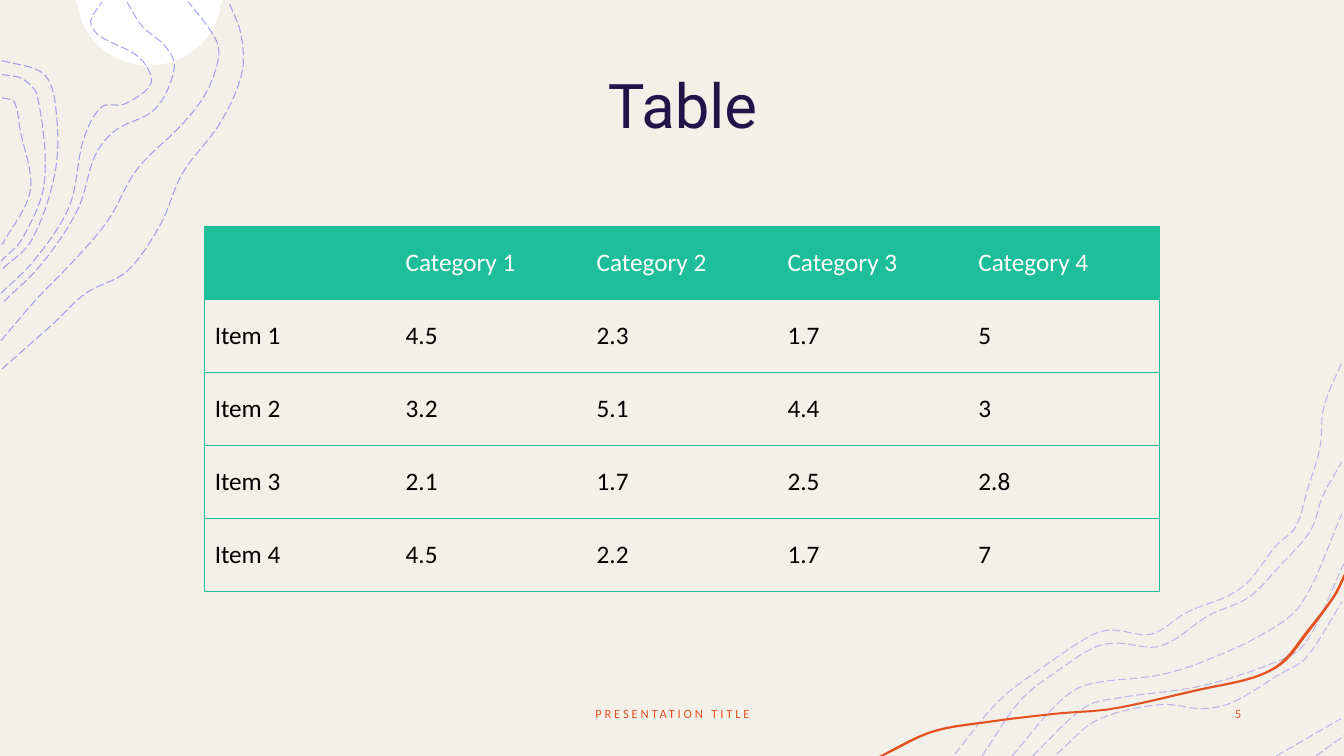
from collections import namedtuple
from math import asin, cos, dist, pi, sin

from lxml.etree import SubElement
from pptx import Presentation
from pptx.dml.color import RGBColor
from pptx.enum.dml import MSO_LINE
from pptx.enum.text import MSO_ANCHOR, PP_ALIGN
from pptx.oxml.ns import qn
from pptx.util import Inches, Pt

Box = namedtuple("Box", "left top width height")

COLORS = {"paper": "F3F0E9", "white": "FFFFFF", "contour": "4D4EE6", "ribbon": "E45221",
          "title": "201449", "teal": "1EBE9B", "body": "000000"}
NO_STYLE = "{2D5ABB26-0587-4C30-8999-92F81FD0307C}"

# Knots of each contour line, in inches from the corner of its region
LEFT_CONTOURS = [
    [(0.02, 3.66), (0.55, 3.19), (0.85, 2.91), (1.26, 2.69), (1.59, 2.23), (1.81, 1.72),
     (2.19, 1.21), (2.4, 0.72), (2.39, 0.34), (2.27, 0.02)],
    [(0.01, 3.38), (0.37, 2.96), (0.72, 2.6), (1.07, 2.19), (1.36, 1.68), (1.82, 1.22),
     (2.05, 0.91), (2.17, 0.56), (2.13, 0.37), (1.87, 0.02)],
    [(1.26, 0.02), (1.41, 0.26), (1.64, 0.46), (1.73, 0.67), (1.54, 1.08), (1.15, 1.29),
     (0.95, 1.53), (0.77, 2.08), (0.42, 2.61), (0.02, 3.01)],
    [(0.01, 2.91), (0.35, 2.57), (0.69, 2.04), (0.83, 1.38), (1.01, 1.06), (1.24, 1.03),
     (1.5, 0.82), (1.38, 0.57), (0.98, 0.35), (0.9, 0.21), (1.01, 0.02)],
    [(0.02, 0.6), (0.43, 0.73), (0.55, 1.04), (0.55, 1.69), (0.31, 2.39), (0.01, 2.68)],
    [(0.02, 0.74), (0.22, 0.78), (0.37, 0.95), (0.44, 1.81), (0.22, 2.37), (0.01, 2.59)],
    [(0.02, 0.97), (0.14, 1.01), (0.2, 1.29), (0.3, 1.89), (0.02, 2.43)],
]
RIGHT_CONTOURS = [
    [(1.47, 4.48), (1.91, 3.95), (2.37, 3.6), (2.83, 3.3), (3.03, 3.25), (3.42, 3.29),
     (3.78, 3.07), (4.18, 2.91), (4.39, 2.76), (4.66, 2.41), (4.85, 2.23), (4.97, 1.85),
     (5.09, 1.45), (5.13, 1.04), (5.31, 0.59)],
    [(1.74, 4.5), (2.13, 3.94), (2.54, 3.62), (2.86, 3.42), (3.08, 3.38), (3.51, 3.41),
     (4, 3.1), (4.38, 2.93), (4.68, 2.63), (5, 2.26), (5.12, 1.92), (5.31, 1.58)],
    [(5.05, 4.5), (5.33, 4.3)],
    [(4.66, 4.5), (5.3, 4.13)],
    [(2.48, 4.48), (2.89, 4.14), (3.51, 3.99), (3.93, 4.03), (4.22, 3.97), (4.69, 3.69),
     (4.95, 3.53), (5.31, 2.97)],
    [(2.24, 4.5), (2.77, 4.01), (3.12, 3.92), (3.89, 3.81), (4.57, 3.6), (4.93, 3.4), (5.33, 2.59)],
    [(2.04, 4.5), (2.47, 4), (2.76, 3.8), (3.48, 3.7), (3.89, 3.58), (4.49, 3.31), (4.9, 3),
     (5.31, 2.1)],
]
RIBBON = [(5.33, 2.75), (5.25, 2.91), (4.97, 3.29), (4.73, 3.58), (4.44, 3.73), (3.91, 3.85),
          (3.04, 4.04), (2.48, 4.09), (1.82, 4.17), (1.25, 4.27), (0.76, 4.5),
          (0.72, 4.5), (1.24, 4.25), (1.81, 4.15), (2.48, 4.07), (3.04, 4.02), (3.9, 3.83),
          (4.43, 3.71), (4.7, 3.57), (4.94, 3.28), (5.22, 2.91), (5.33, 2.69)]

ROWS = [["", "Category 1", "Category 2", "Category 3", "Category 4"],
        ["Item 1", "4.5", "2.3", "1.7", "5"],
        ["Item 2", "3.2", "5.1", "4.4", "3"],
        ["Item 3", "2.1", "1.7", "2.5", "2.8"],
        ["Item 4", "4.5", "2.2", "1.7", "7"]]


def color(name):
    return RGBColor.from_string(COLORS[name])


def bend(shape):
    """Turn the straight segments of a freeform into curves through the same knots."""
    outline = shape._element.find(".//" + qn("a:path"))
    knots = [(int(p.get("x")), int(p.get("y"))) for p in outline.iter(qn("a:pt"))]
    lengths = [dist(a, b) for a, b in zip(knots, knots[1:])]
    slopes = []
    for i in range(len(knots)):
        before, after = max(i - 1, 0), min(i + 1, len(knots) - 1)
        span = sum(lengths[before:after])
        slopes.append([(b - a) / span for a, b in zip(knots[before], knots[after])])
    for i, segment in enumerate(outline.findall(qn("a:lnTo"))):
        third = lengths[i] / 3
        leave = [k + s * third for k, s in zip(knots[i], slopes[i])]
        arrive = [k - s * third for k, s in zip(knots[i + 1], slopes[i + 1])]
        curve = SubElement(outline, qn("a:cubicBezTo"))
        for x, y in (leave, arrive, knots[i + 1]):
            SubElement(curve, qn("a:pt"), x=str(round(x)), y=str(round(y)))
        outline.replace(segment, curve)


def add_curve(slide, box, knots, close):
    places = [(Inches(box.left + x), Inches(box.top + y)) for x, y in knots]
    builder = slide.shapes.build_freeform(*places[0])
    builder.add_line_segments(places[1:], close=close)
    shape = builder.convert_to_shape()
    shape.shadow.inherit = False
    bend(shape)
    return shape


def add_filled(slide, box, knots, fill):
    shape = add_curve(slide, box, knots, True)
    shape.fill.solid()
    shape.fill.fore_color.rgb = color(fill)
    shape.line.fill.background()


def add_contours(slide, box, contours, opacity):
    for knots in contours:
        shape = add_curve(slide, box, knots, False)
        shape.fill.background()
        shape.line.color.rgb = color("contour")
        shape.line.width = Pt(0.75)
        shape.line.dash_style = MSO_LINE.LONG_DASH
        tint = shape.line._ln.find(".//" + qn("a:srgbClr"))
        SubElement(tint, qn("a:alpha"), val=str(opacity * 1000))


def draw_left_corner(slide, box):
    radius, center_x, center_y = 0.73, 1.48, -0.08
    start = asin(-center_y / radius)
    angles = [start + (pi - 2 * start) * i / 8 for i in range(9)]
    add_filled(slide, box, [(center_x + radius * cos(a), center_y + radius * sin(a)) for a in angles], "white")
    add_contours(slide, box, LEFT_CONTOURS, 50)


def draw_right_corner(slide, box):
    add_contours(slide, box, RIGHT_CONTOURS, 35)
    add_filled(slide, box, RIBBON, "ribbon")


def add_text(slide, box, text, font, size, ink, align, spacing=0):
    frame = slide.shapes.add_textbox(*map(Inches, box)).text_frame
    frame.word_wrap = True
    para = frame.paragraphs[0]
    para.alignment = align
    span = para.add_run()
    span.text = text
    para.font.name, para.font.size = font, Pt(size)
    para.font.color.rgb = color(ink)
    if spacing:
        span.font._element.set("spc", str(spacing * 100))


def set_borders(cell, sides):
    properties = cell._tc.get_or_add_tcPr()
    for index, side in enumerate(sides):
        line = SubElement(properties, qn("a:ln" + side), w=str(Pt(0.5)))
        fill = SubElement(line, qn("a:solidFill"))
        SubElement(fill, qn("a:srgbClr"), val=COLORS["teal"])
        properties.remove(line)
        properties.insert(index, line)


def draw_table(slide, box):
    count = len(ROWS[0])
    table = slide.shapes.add_table(len(ROWS), count, *map(Inches, box)).table
    table._tbl.tblPr.find(qn("a:tableStyleId")).text = NO_STYLE
    table.horz_banding = False
    for r, values in enumerate(ROWS):
        for c, value in enumerate(values):
            cell = table.cell(r, c)
            cell.vertical_anchor = MSO_ANCHOR.MIDDLE
            cell.text = value
            font = cell.text_frame.paragraphs[0].font
            font.name, font.size = "Calibri", Pt(18)
            font.color.rgb = color("body" if r else "white")
            if r:
                cell.fill.background()
            else:
                cell.fill.solid()
                cell.fill.fore_color.rgb = color("teal")
            set_borders(cell, ["L"] * (c == 0) + ["R"] * (c == count - 1) + ["T", "B"])


def main():
    deck = Presentation()
    deck.slide_width, deck.slide_height = Inches(13.33), Inches(7.5)
    page = deck.slides.add_slide(deck.slide_layouts[6])
    page.background.fill.solid()
    page.background.fill.fore_color.rgb = color("paper")
    draw_left_corner(page, Box(0, 0, 2.42, 3.66))
    draw_right_corner(page, Box(8, 3, 5.33, 4.5))
    add_text(page, Box(1.31, 0.61, 10.92, 1.45), "Table", "Roboto", 44, "title", PP_ALIGN.CENTER)
    add_text(page, Box(4.42, 6.95, 4.5, 0.4), "PRESENTATION TITLE", "Calibri", 9, "ribbon", PP_ALIGN.CENTER, 2)
    add_text(page, Box(10.83, 6.95, 1.58, 0.4), "5", "Calibri", 9, "ribbon", PP_ALIGN.RIGHT, 2)
    draw_table(page, Box(2.03, 2.25, 9.47, 3.62))
    deck.save("out.pptx")


if __name__ == "__main__":
    main()
